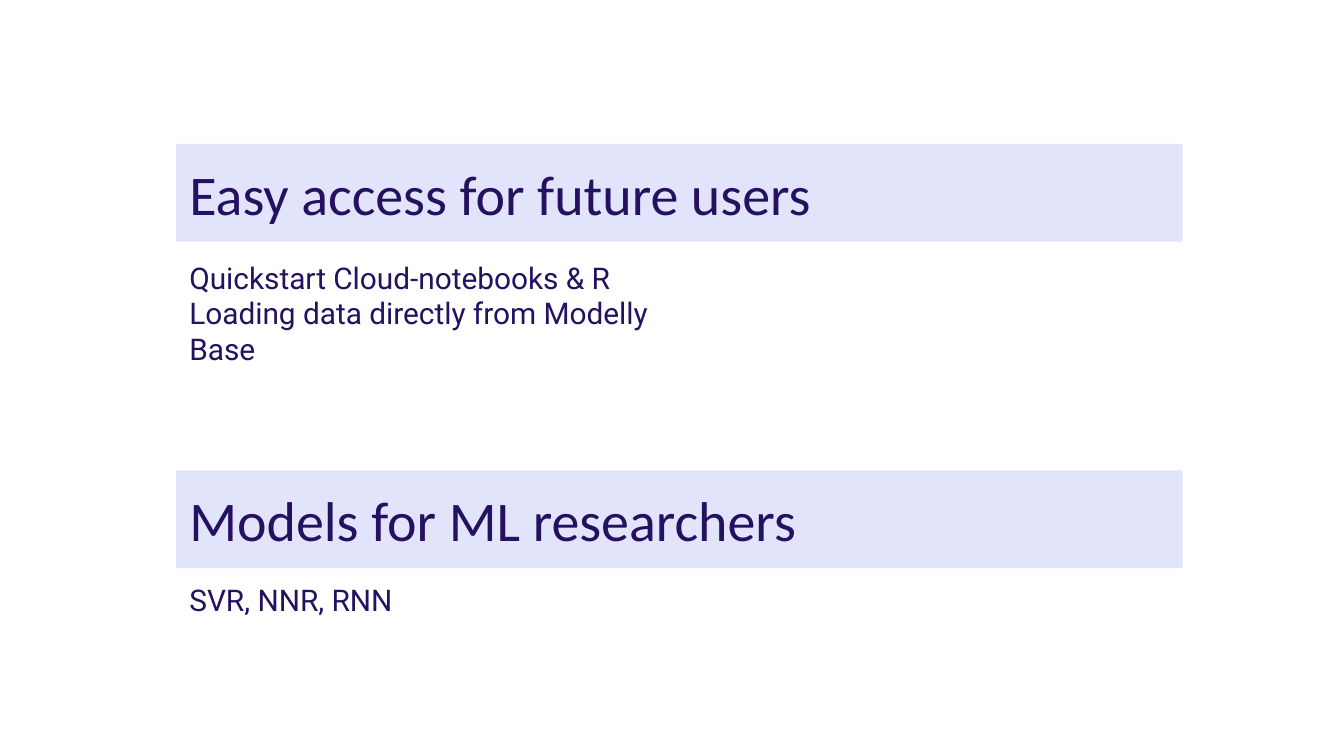
from pptx import Presentation
from pptx import util as u
from pptx.dml.color import RGBColor
from pptx.enum import shapes, text

# heading, top of band, body lines, gap below band, body width (cm)
SECTIONS = [
    ("Easy access for future users", 2.72,
     ["Quickstart Cloud-notebooks & R",
      "Loading data directly from Modelly Base"], 0.08, 10.36),
    ("Models for ML researchers", 8.89, ["SVR, NNR, RNN"], 0, 7.62),
]

THEME = {
    "ink": RGBColor(0x24, 0x11, 0x60),
    "band": RGBColor(0xE2, 0xE4, 0xFC),
    "heading": ("Calibri", 30),
    "body": ("Roboto", 16),
}

LEFT, BAND_WIDTH, BAND_HEIGHT = 3.33, 19.02, 1.85
BODY_HEIGHT, INSET = 1.02, 0.25


def write(shape, lines, style, anchor):
    frame = shape.text_frame
    frame.word_wrap = True
    frame.vertical_anchor = anchor
    frame.margin_left = frame.margin_right = u.Cm(INSET)
    frame.margin_top = frame.margin_bottom = u.Cm(INSET)
    frame.text = "\n".join(lines)
    for paragraph in frame.paragraphs:
        paragraph.alignment = text.PP_ALIGN.LEFT
        paragraph.font.name, size = THEME[style]
        paragraph.font.size = u.Pt(size)
        paragraph.font.color.rgb = THEME["ink"]


def add_section(slide, heading, top, lines, gap, body_width):
    band = slide.shapes.add_shape(
        shapes.MSO_SHAPE.RECTANGLE, u.Cm(LEFT), u.Cm(top),
        u.Cm(BAND_WIDTH), u.Cm(BAND_HEIGHT))
    band.shadow.inherit = False
    band.fill.solid()
    band.fill.fore_color.rgb = THEME["band"]
    band.line.fill.background()
    write(band, [heading], "heading", text.MSO_ANCHOR.MIDDLE)

    body = slide.shapes.add_textbox(
        u.Cm(LEFT), u.Cm(top + BAND_HEIGHT + gap),
        u.Cm(body_width), u.Cm(BODY_HEIGHT))
    write(body, lines, "body", text.MSO_ANCHOR.TOP)


def main():
    presentation = Presentation()
    presentation.slide_width = u.Cm(25.4)
    presentation.slide_height = u.Cm(14.29)
    slide = presentation.slides.add_slide(presentation.slide_layouts[6])
    for section in SECTIONS:
        add_section(slide, *section)
    presentation.save("out.pptx")


if __name__ == "__main__":
    main()
